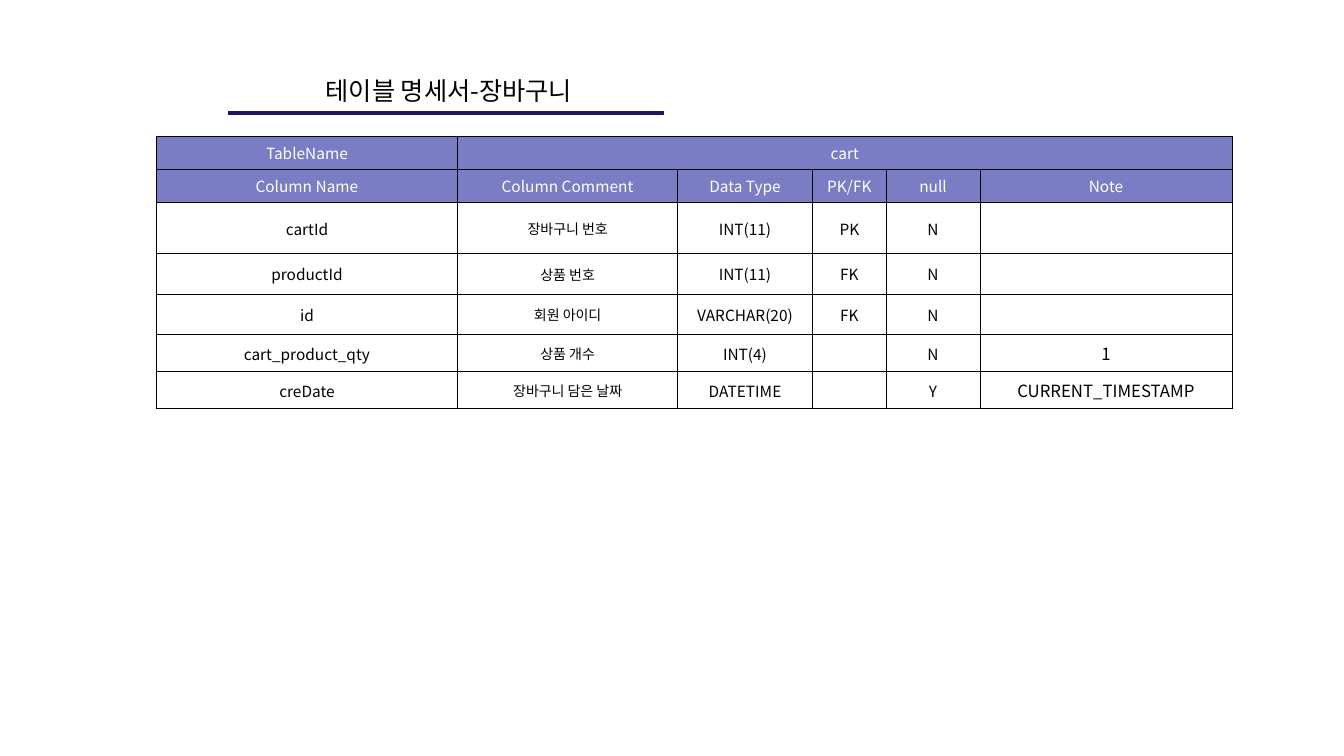
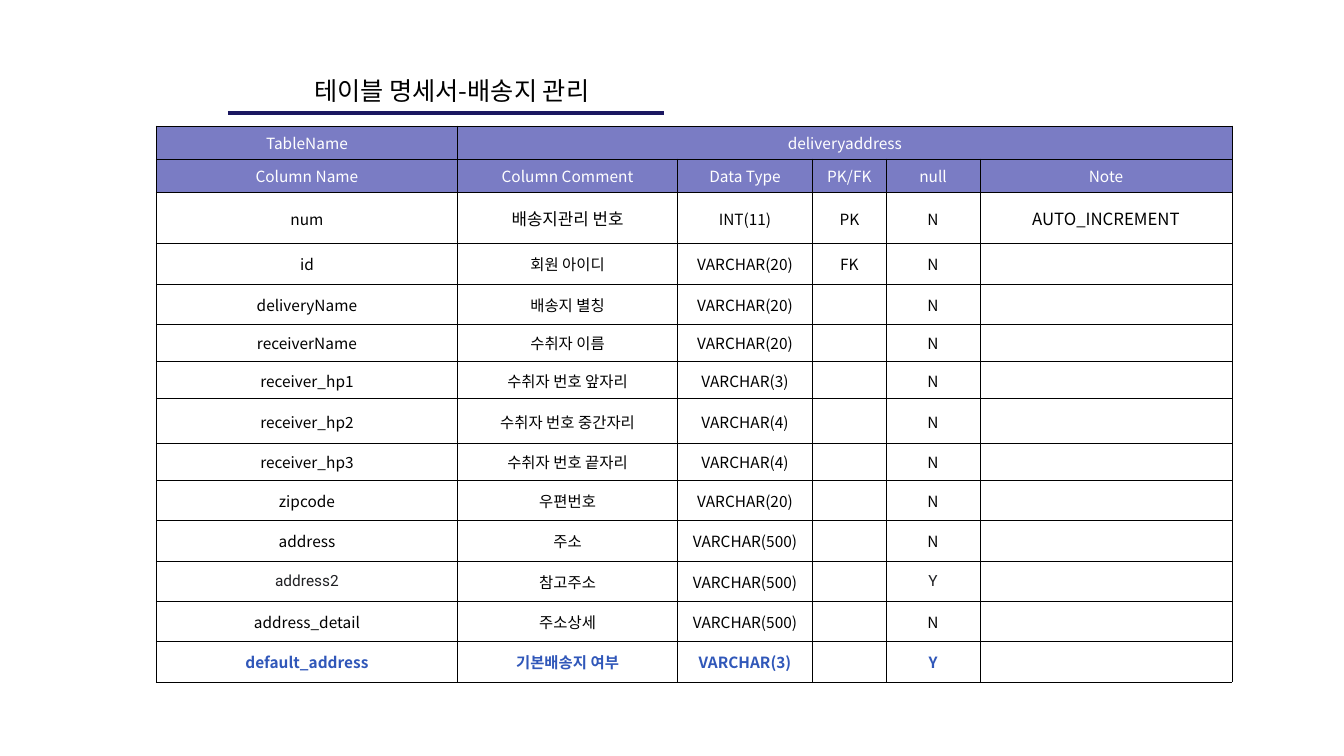
from lxml import etree
from pptx import Presentation
from pptx.dml.color import RGBColor
from pptx.enum.shapes import MSO_CONNECTOR
from pptx.enum.text import MSO_ANCHOR, MSO_AUTO_SIZE, PP_ALIGN
from pptx.oxml.ns import qn
from pptx.util import Inches, Pt

CENTER = PP_ALIGN.CENTER
MIDDLE = MSO_ANCHOR.MIDDLE
FIT_SHAPE = MSO_AUTO_SIZE.SHAPE_TO_FIT_TEXT
STRAIGHT = MSO_CONNECTOR.STRAIGHT

FONT, ALT_FONT = "Noto Sans CJK KR", "Roboto"
BLACK, WHITE, GRAY = "000000", "FFFFFF", "202124"
HEADER_FILL, RULE_COLOR, HIGHLIGHT = "7A7CC4", "1B1760", "3057B9"

# Shared table layout
COLUMN_WIDTHS = [2.99, 2.18, 1.34, 0.73, 0.93, 2.5]
HEADER_HEIGHT = 0.29
HEADINGS = ["Column Name", "Column Comment", "Data Type", "PK/FK", "null", "Note"]
COMMENT, NOTE = HEADINGS.index("Column Comment"), HEADINGS.index("Note")

# Each row: height, then name, comment, type, key, null and note
CART_ROWS = [
    (0.51, "cartId", "장바구니 번호", "INT(11)", "PK", "N", ""),
    (0.4, "productId", "상품 번호", "INT(11)", "FK", "N", ""),
    (0.4, "id", "회원 아이디", "VARCHAR(20)", "FK", "N", ""),
    (0.37, "cart_product_qty", "상품 개수", "INT(4)", "", "N", "1"),
    (0.37, "creDate", "장바구니 담은 날짜", "DATETIME", "", "Y", "CURRENT_TIMESTAMP"),
]
ADDRESS_ROWS = [
    (0.51, "num", "배송지관리 번호", "INT(11)", "PK", "N", "AUTO_INCREMENT"),
    (0.4, "id", "회원 아이디", "VARCHAR(20)", "FK", "N", ""),
    (0.4, "deliveryName", "배송지 별칭", "VARCHAR(20)", "", "N", ""),
    (0.37, "receiverName", "수취자 이름", "VARCHAR(20)", "", "N", ""),
    (0.37, "receiver_hp1", "수취자 번호 앞자리", "VARCHAR(3)", "", "N", ""),
    (0.44, "receiver_hp2", "수취자 번호 중간자리", "VARCHAR(4)", "", "N", ""),
    (0.37, "receiver_hp3", "수취자 번호 끝자리", "VARCHAR(4)", "", "N", ""),
    (0.4, "zipcode", "우편번호", "VARCHAR(20)", "", "N", ""),
    (0.4, "address", "주소", "VARCHAR(500)", "", "N", ""),
    (0.4, "address2", "참고주소", "VARCHAR(500)", "", "Y", ""),
    (0.4, "address_detail", "주소상세", "VARCHAR(500)", "", "N", ""),
    (0.4, "default_address", "기본배송지 여부", "VARCHAR(3)", "", "Y", ""),
]

# Each slide: title, table name, table top, rows, comment size by row name
SLIDES = [
    ("테이블 명세서-장바구니 ", "cart", 1.35, CART_ROWS,
     {row[1]: 10 for row in CART_ROWS}),
    ("테이블 명세서-배송지 관리", "deliveryaddress", 1.25, ADDRESS_ROWS, {"num": 12}),
]


def write(para, text, size, color, font=FONT, bold=False):
    """Add one centred run, or only set the line size if there is no text."""
    para.alignment = CENTER
    if not text:
        etree.SubElement(para._p, qn("a:endParaRPr"), sz=str(size * 100))
        return
    span = para.add_run()
    span.text = text
    span.font.size = Pt(size)
    span.font.bold = bold
    span.font.color.rgb = RGBColor.from_string(color)
    span.font.name = font
    etree.SubElement(span._r.get_or_add_rPr(), qn("a:ea"), typeface=font)


def style_cell(cell, fill=None):
    """Set the anchor, the fill and thin black borders of a cell."""
    cell.vertical_anchor = MIDDLE
    cell.text_frame.paragraphs[0].line_spacing = 1.03
    if fill:
        cell.fill.solid()
        cell.fill.fore_color.rgb = RGBColor.from_string(fill)
    else:
        cell.fill.background()
    properties = cell._tc.get_or_add_tcPr()
    for position, side in enumerate(("lnL", "lnR", "lnT", "lnB")):
        border = etree.Element(qn(f"a:{side}"), w=str(Pt(0.6)))
        paint = etree.SubElement(border, qn("a:solidFill"))
        etree.SubElement(paint, qn("a:srgbClr"), val=BLACK)
        properties.insert(position, border)


deck = Presentation()
deck.slide_width, deck.slide_height = Inches(13.33), Inches(7.5)

for title, table_name, top, rows, comment_sizes in SLIDES:
    page = deck.slides.add_slide(deck.slide_layouts[6])

    # Table frame
    heights = [HEADER_HEIGHT] * 2 + [row[0] for row in rows]
    table = page.shapes.add_table(
        len(heights), len(COLUMN_WIDTHS), Inches(1.55), Inches(top),
        Inches(sum(COLUMN_WIDTHS)), Inches(sum(heights))).table
    table.first_row = table.horz_banding = False
    for column, width in zip(table.columns, COLUMN_WIDTHS):
        column.width = Inches(width)
    for line, height in zip(table.rows, heights):
        line.height = Inches(height)

    # Two header rows
    table.cell(0, 1).merge(table.cell(0, len(COLUMN_WIDTHS) - 1))
    name_row = ["TableName", table_name] + [""] * (len(COLUMN_WIDTHS) - 2)
    for line, labels in enumerate((name_row, HEADINGS)):
        for column, label in enumerate(labels):
            cell = table.cell(line, column)
            style_cell(cell, HEADER_FILL)
            write(cell.text_frame.paragraphs[0], label, 11, WHITE)

    # Column definitions
    for line, (_, *values) in enumerate(rows, start=2):
        name = values[0]
        bold = name == "default_address"
        for column, value in enumerate(values):
            size, color, font = 11, HIGHLIGHT if bold else BLACK, FONT
            if column == COMMENT:
                size = comment_sizes.get(name, 11)
            elif column == NOTE and value:
                size = 12
            if name == "address2" and value in (name, "Y"):
                color, font = GRAY, ALT_FONT
            cell = table.cell(line, column)
            style_cell(cell)
            write(cell.text_frame.paragraphs[0], value, size, color, font, bold)

    # Title and the rule below it
    rule = page.shapes.add_connector(
        STRAIGHT, Inches(2.26), Inches(1.12), Inches(6.59), Inches(1.12))
    rule.line.color.rgb = RGBColor.from_string(RULE_COLOR)
    rule.line.width = Pt(3)
    etree.SubElement(rule._element.spPr, qn("a:effectLst"))
    box = page.shapes.add_textbox(
        Inches(2.29), Inches(0.7), Inches(4.38), Inches(0.39))
    box.text_frame.word_wrap = True
    box.text_frame.auto_size = FIT_SHAPE
    write(box.text_frame.paragraphs[0], title, 18, BLACK)

deck.save("out.pptx")
